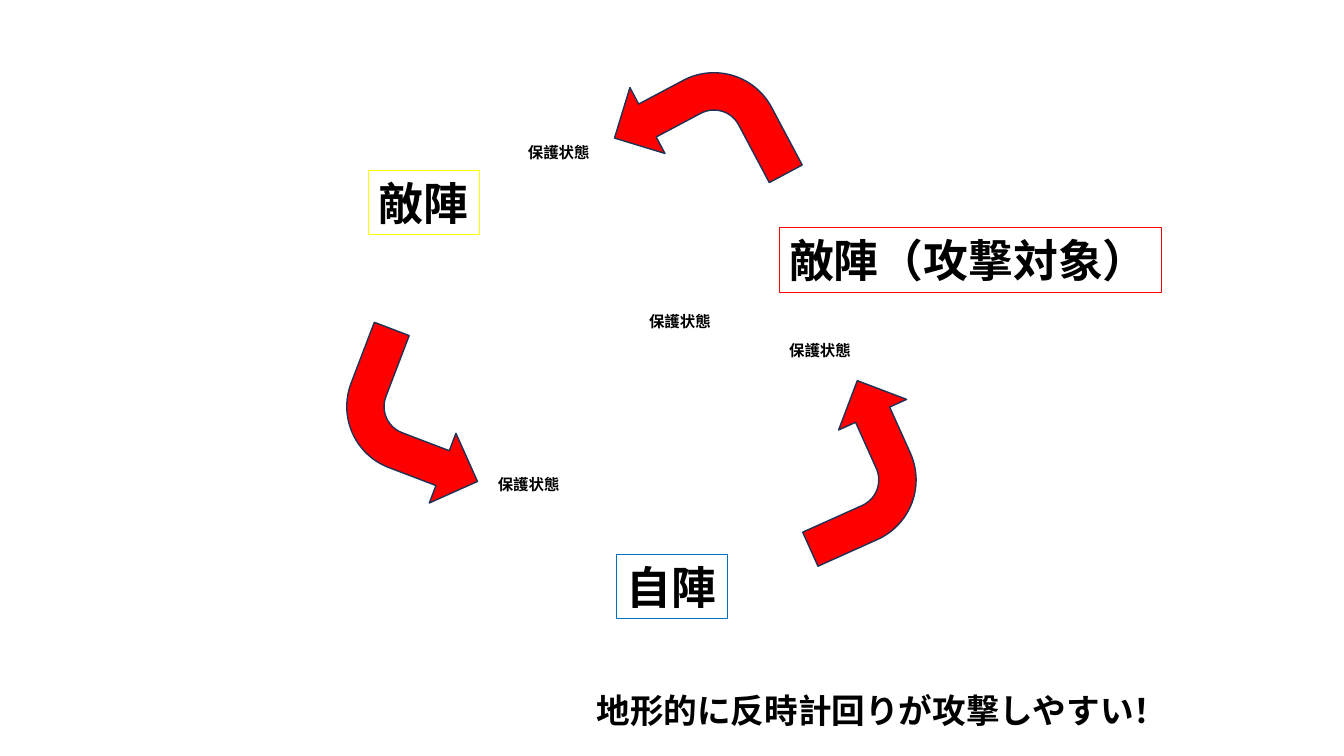
from lxml import etree
from pptx import Presentation
from pptx.dml.color import RGBColor
from pptx.enum.shapes import MSO_SHAPE
from pptx.enum.text import MSO_AUTO_SIZE
from pptx.oxml.ns import qn
from pptx.util import Pt

BENT_ARROW = MSO_SHAPE.BENT_ARROW
FIT_TEXT = MSO_AUTO_SIZE.SHAPE_TO_FIT_TEXT
BLANK_LAYOUT = 6

PROTECTED = "保護状態"
PROTECTED_SPOTS = [(348.5, 335.5), (370, 98.6), (556.6, 239.8), (456.5, 219.6)]
CAMPS = [
    ("敵陣（攻撃対象）", 556.6, 162.7, 272.9, "FF0000"),
    ("自陣", 440.6, 396, 79.2, "0070C0"),
    ("敵陣", 263.5, 121.7, 79.2, "FFFF00"),
]
ATTACKS = [(244.8, 246.2, 20.9), (555.8, 279.4, 245.8), (445, 43.2, 152)]


def color(hex_value):
    return RGBColor.from_string(hex_value)


class BattleMap:
    font_name = "Noto Sans CJK JP"
    ink = "000000"
    paper = "FFFFFF"
    attack_fill = "FF0000"
    attack_edge = "1E3256"

    def __init__(self, slide):
        self.slide = slide

    def label(self, text, left, top, width, height, size, opacity, border=None):
        """Add a bold text box on translucent white, framed if border is given."""
        box = self.slide.shapes.add_textbox(Pt(left), Pt(top), Pt(width), Pt(height))
        box.fill.solid()
        box.fill.fore_color.rgb = color(self.paper)
        tint = box.fill._xPr.find(qn("a:solidFill"))[0]
        etree.SubElement(tint, qn("a:alpha")).set("val", str(opacity * 1000))
        if border:
            box.line.color.rgb = color(border)
            box.line.width = Pt(0.75)
        frame = box.text_frame
        frame.word_wrap = False
        frame.auto_size = FIT_TEXT
        run = frame.paragraphs[0].add_run()
        run.text = text
        font_format = {"name": self.font_name, "size": Pt(size), "bold": True}
        for attribute, value in font_format.items():
            setattr(run.font, attribute, value)
        run.font.color.rgb = color(self.ink)
        east_asian = etree.SubElement(run.font._element, qn("a:ea"))
        east_asian.set("typeface", self.font_name)

    def attack(self, left, top, rotation):
        """Add a vertically flipped bent arrow turned by rotation degrees."""
        arrow = self.slide.shapes.add_shape(
            BENT_ARROW, Pt(left), Pt(top), Pt(109.4), Pt(106.6))
        arrow.rotation = rotation
        arrow._element.spPr.find(qn("a:xfrm")).set("flipV", "1")
        arrow.shadow.inherit = False
        arrow.fill.solid()
        arrow.fill.fore_color.rgb = color(self.attack_fill)
        arrow.line.color.rgb = color(self.attack_edge)
        arrow.line.width = Pt(1)


def main():
    deck = Presentation()
    deck.slide_width, deck.slide_height = Pt(960), Pt(540)
    battle = BattleMap(deck.slides.add_slide(deck.slide_layouts[BLANK_LAYOUT]))

    for left, top in PROTECTED_SPOTS:
        battle.label(PROTECTED, left, top, 59, 20.9, size=11, opacity=45)
    for attack in ATTACKS:
        battle.attack(*attack)
    for camp, left, top, width, border in CAMPS:
        battle.label(camp, left, top, width, 46, size=32, opacity=75, border=border)
    battle.label("地形的に反時計回りが攻撃しやすい！", 419, 489.6, 426.2, 36,
                 size=24, opacity=75)

    deck.save("out.pptx")


if __name__ == "__main__":
    main()
